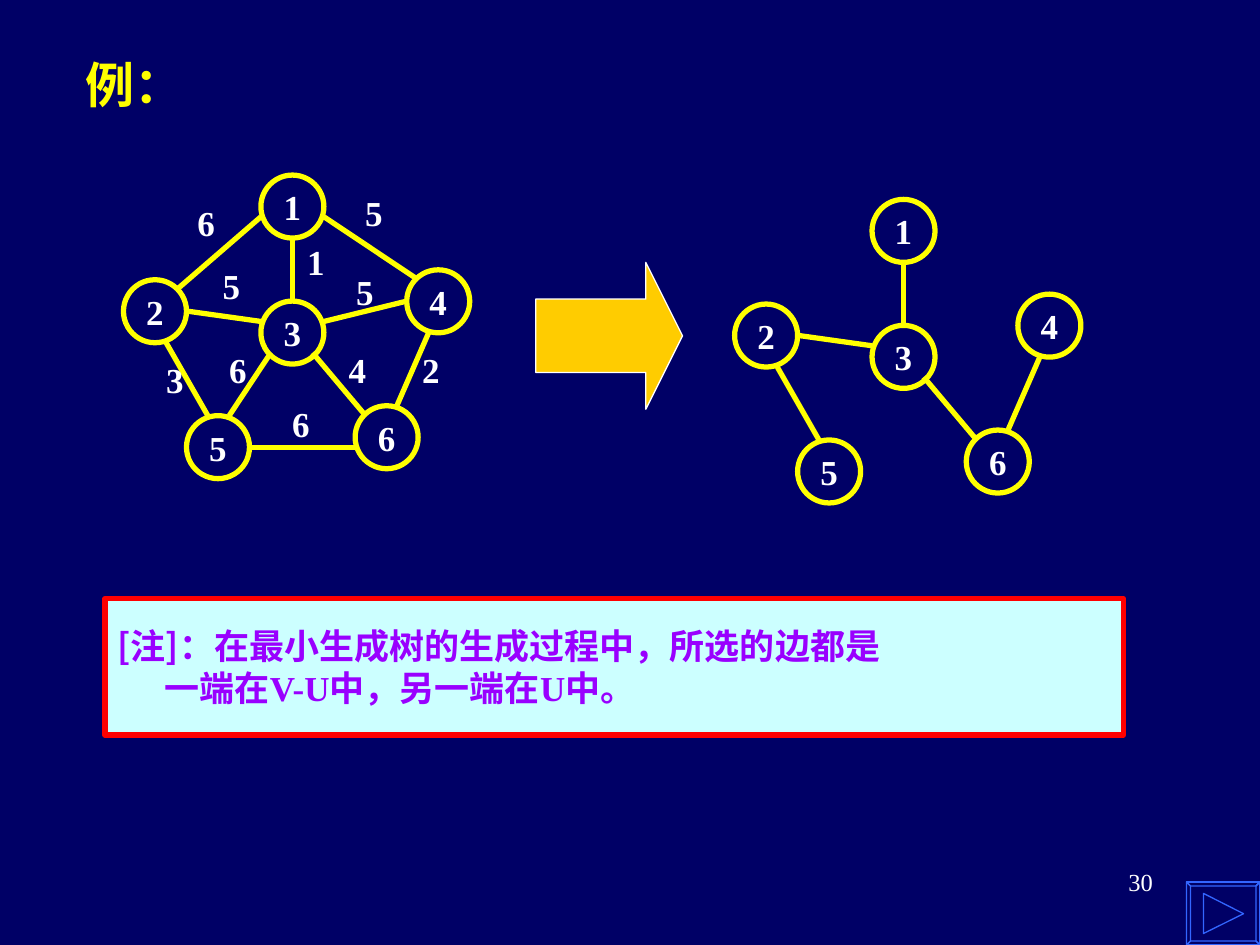
import dataclasses

import pptx
import pptx.dml.color
import pptx.enum.shapes
import pptx.enum.text
import pptx.oxml.ns
import pptx.util
import lxml.etree

Cm, Pt = pptx.util.Cm, pptx.util.Pt
Shape = pptx.enum.shapes.MSO_SHAPE
Align = pptx.enum.text.PP_ALIGN
Anchor = pptx.enum.text.MSO_ANCHOR
qn = pptx.oxml.ns.qn


@dataclasses.dataclass(frozen=True)
class Theme:
    # Colours
    back: str = "000066"
    edge: str = "FFFF00"
    text: str = "FFFFFF"
    arrow: str = "FFCC00"
    button: str = "3366FF"
    paper: str = "CCFFFF"
    frame: str = "FF0000"
    ink: str = "9900FF"
    # Type and line sizes in points
    head: int = 28
    main: int = 20
    small: int = 14
    thick: float = 3
    thin: float = 0.75
    # Fonts
    roman: str = "Times New Roman"
    han: str = "Noto Sans CJK SC"


def tint(code):
    return pptx.dml.color.RGBColor.from_string(code)


class Maker:
    """Draws elements on one slide in one style."""

    def __init__(self, slide, theme):
        self.slide, self.theme = slide, theme
        slide.background.fill.solid()
        slide.background.fill.fore_color.rgb = tint(theme.back)

    def run(self, para, text, size, hue, font=None, bold=True):
        run = para.add_run()
        run.text = text
        run.font.size, run.font.bold = Pt(size), bold
        run.font.color.rgb = tint(hue)
        run.font.name = font or self.theme.roman
        east = lxml.etree.SubElement(run.font._element, qn("a:ea"))
        east.set("typeface", self.theme.han)

    def style(self, shape, line, width, fill=None):
        shape.shadow.inherit = False
        shape.line.color.rgb, shape.line.width = tint(line), Pt(width)
        if fill:
            shape.fill.solid()
            shape.fill.fore_color.rgb = tint(fill)
        else:
            shape.fill.background()

    def shape(self, kind, box, line, width, fill=None):
        shape = self.slide.shapes.add_shape(kind, *map(Cm, box))
        self.style(shape, line, width, fill)
        return shape

    def title(self, text, box):
        title = self.slide.shapes.title
        title.left, title.top, title.width, title.height = map(Cm, box)
        frame = title.text_frame
        frame.vertical_anchor = Anchor.MIDDLE
        frame.auto_size = pptx.enum.text.MSO_AUTO_SIZE.NONE
        para = frame.paragraphs[0]
        para.alignment = Align.LEFT
        self.run(para, text, self.theme.head, self.theme.edge)

    def label(self, text, box, size, align=Align.LEFT, bold=True, wrap=False):
        frame = self.slide.shapes.add_textbox(*map(Cm, box)).text_frame
        frame.word_wrap = wrap
        para = frame.paragraphs[0]
        para.alignment = align
        self.run(para, text, size, self.theme.text, bold=bold)

    def node(self, text, left, top):
        theme = self.theme
        ring = self.shape(Shape.OVAL, (left, top, 1.27, 1.27), theme.edge, theme.thick)
        frame = ring.text_frame
        frame.word_wrap, frame.vertical_anchor = False, Anchor.MIDDLE
        para = frame.paragraphs[0]
        para.alignment = Align.CENTER
        self.run(para, text, theme.main, theme.text)

    def edge(self, ends):
        line = self.slide.shapes.add_connector(
            pptx.enum.shapes.MSO_CONNECTOR.STRAIGHT, *map(Cm, ends))
        line.line.color.rgb = tint(self.theme.edge)
        line.line.width = Pt(self.theme.thick)
        lxml.etree.SubElement(line._element.spPr, qn("a:effectLst"))

    def graph(self, nodes, edges, right=0, down=0):
        for x, y, far, low in edges:
            self.edge((x + right, y + down, far + right, low + down))
        for name, (x, y) in nodes.items():
            self.node(name, x + right, y + down)

    def arrow(self, box):
        theme = self.theme
        arrow = self.shape(Shape.RIGHT_ARROW, box, theme.text, theme.thin, theme.arrow)
        arrow.adjustments[0], arrow.adjustments[1] = 0.5, 0.25

    def button(self, left, top, right, low, rim, sign):
        outer = [(left, top), (right, top), (right, low), (left, low)]
        inner = [(left + rim, top + rim), (right - rim, top + rim),
                 (right - rim, low - rim), (left + rim, low - rim)]
        sides = [[outer[i], outer[(i + 1) % 4], inner[(i + 1) % 4], inner[i]]
                 for i in range(4)]
        paths = [[(Cm(x), Cm(y)) for x, y in path] for path in [outer, *sides, sign]]
        pen = self.slide.shapes.build_freeform(*paths[0][0])
        pen.add_line_segments(paths[0][1:], close=True)
        for first, *rest in paths[1:]:
            pen.move_to(*first)
            pen.add_line_segments(rest, close=True)
        self.style(pen.convert_to_shape(), self.theme.button, self.theme.thin)

    def note(self, lines, box, inset):
        theme = self.theme
        panel = self.shape(Shape.RECTANGLE, box, theme.frame, theme.thick, theme.paper)
        frame = panel.text_frame
        frame.word_wrap, frame.vertical_anchor = True, Anchor.MIDDLE
        for i, line in enumerate(lines):
            para = frame.add_paragraph() if i else frame.paragraphs[0]
            para.alignment, para.line_spacing = Align.LEFT, Pt(24)
            if i:
                para._p.get_or_add_pPr().set("marL", str(Cm(inset)))
            for text, font in line:
                self.run(para, text, theme.main, theme.ink, font)


# Node corners, edge ends and weight corners in centimetres
NODES = {"1": (5.26, 3.53), "2": (2.49, 5.64), "3": (5.26, 6.07),
         "4": (8.2, 5.44), "5": (3.76, 8.38), "6": (7.16, 8.18)}
TREE = [(5.89, 4.8, 5.89, 6.07), (6.3, 7.11, 7.37, 8.38), (8.64, 6.71, 8, 8.18),
        (3.76, 6.27, 5.26, 6.48), (3.35, 6.91, 4.19, 8.38)]
OTHERS = [(5.26, 4.37, 3.56, 5.84), (5.03, 9.02, 7.16, 9.02), (6.53, 4.37, 8.43, 5.64),
          (5.46, 7.11, 4.62, 8.38), (6.53, 6.48, 8.2, 6.07)]
WEIGHTS = [("1", 5.94, 4.72), ("5", 7.11, 3.73), ("6", 3.73, 3.94), ("5", 6.93, 5.33),
           ("5", 4.24, 5.21), ("4", 6.78, 6.91), ("6", 4.37, 6.91), ("3", 3.1, 7.11),
           ("6", 5.64, 7.98), ("2", 8.26, 6.91)]


def main():
    deck = pptx.Presentation()
    deck.slide_width, deck.slide_height = Cm(25.4), Cm(19.05)
    theme = Theme()
    maker = Maker(deck.slides.add_slide(deck.slide_layouts[5]), theme)

    # Title and page number
    maker.title("例：", (1.47, 0.84, 3.6, 1.7))
    maker.label("30", (18.21, 17.35, 5.28, 1.27), theme.small, Align.RIGHT, False, True)

    # Weighted graph, then its spanning tree
    maker.graph(NODES, OTHERS + TREE)
    for text, x, y in WEIGHTS:
        maker.label(text, (x, y, 0.86, 1.12), theme.main)
    maker.graph(NODES, TREE, right=12.32, down=0.49)
    maker.arrow((10.8, 5.29, 2.96, 2.96))

    # Next button in the corner
    maker.button(23.92, 17.78, 25.4, 19.05, 0.08,
                 [(24.26, 18.01), (25.07, 18.42), (24.26, 18.82)])

    # Note
    han, roman = theme.han, theme.roman
    maker.note([[("[注]：在最小生成树的生成过程中，所选的边都是", han)],
                [("一端在", han), ("V-U", roman), ("中，另一端在", han),
                 ("U", roman), ("中。", han)]],
               (2.12, 12.07, 20.53, 2.75), 0.95)

    deck.save("out.pptx")


if __name__ == "__main__":
    main()
